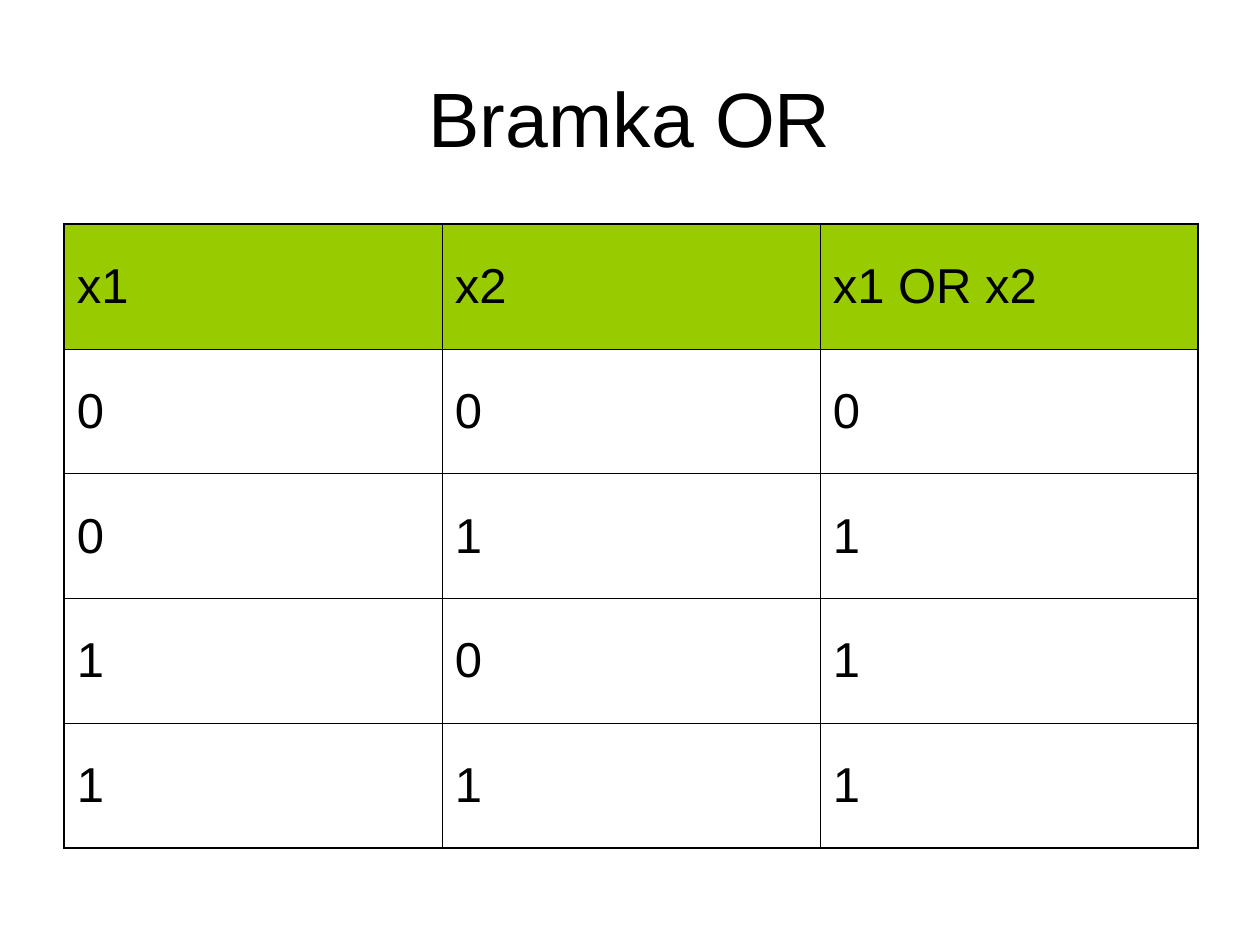
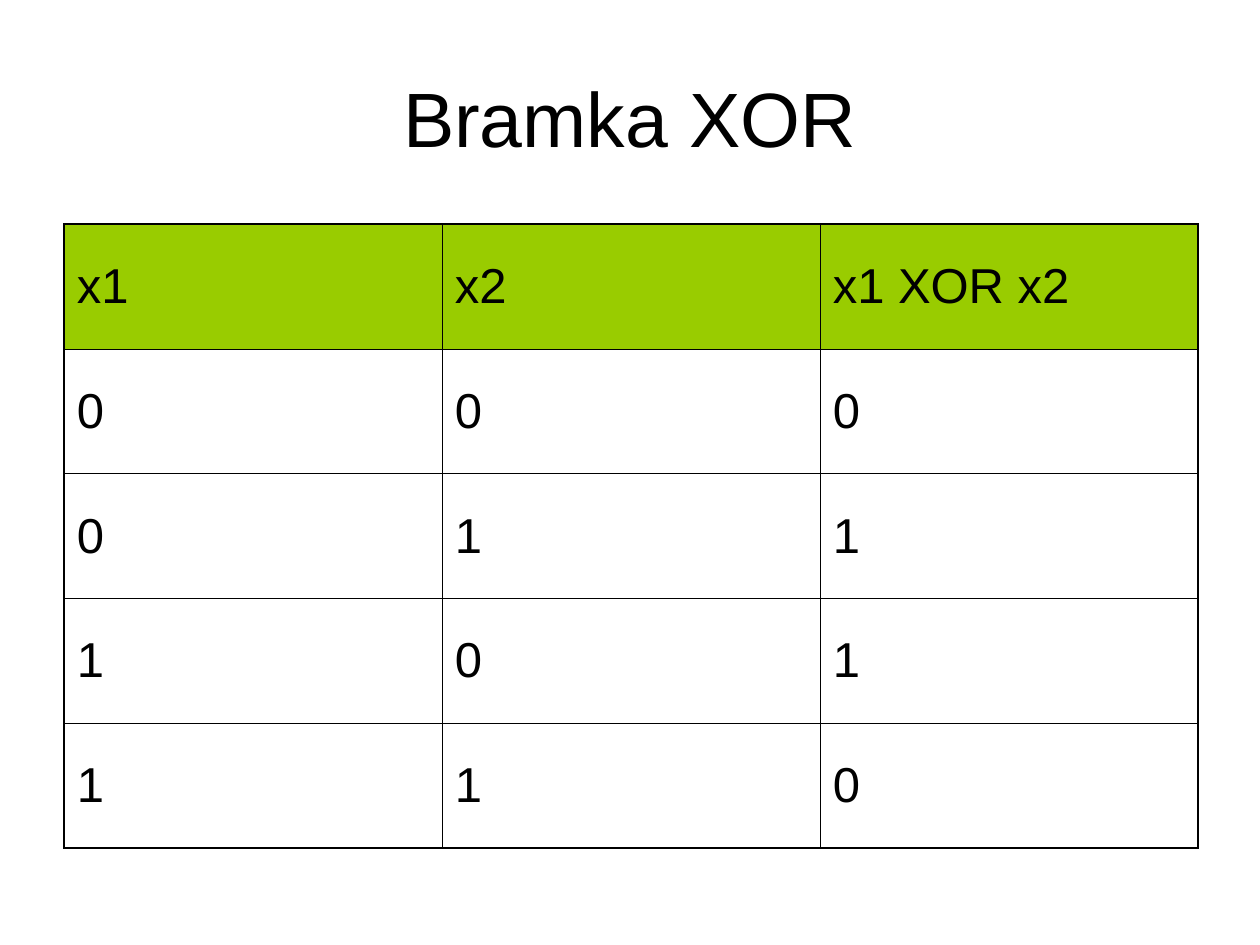
"""Build two slides with the truth tables of the OR and XOR gates."""
from itertools import product

from lxml.etree import SubElement
from pptx import Presentation
from pptx.dml.color import RGBColor
from pptx.enum.text import MSO_ANCHOR, PP_ALIGN
from pptx.oxml.ns import qn
from pptx.util import Inches, Pt

GATES = {
    "OR": lambda x1, x2: x1 | x2,
    "XOR": lambda x1, x2: x1 ^ x2,
}
INPUTS = ("x1", "x2")

BLACK = RGBColor(0x00, 0x00, 0x00)
WHITE = RGBColor(0xFF, 0xFF, 0xFF)
LIME = RGBColor(0x99, 0xCC, 0x00)

SLIDE_SIZE = Inches(10), Inches(7.5)
TITLE_BOX = Inches(0.5), Inches(0.3), Inches(9), Inches(1.25)
TABLE_CORNER = Inches(0.51), Inches(1.78)
COLUMN_WIDTH, ROW_HEIGHT = Inches(3), Inches(0.99)
OUTER_RULE, INNER_RULE = Pt(1.08), Pt(0.45)

TITLE_FONT = {"name": "Arial", "size": Pt(44)}
CELL_FONT = {"name": "Arial", "size": Pt(28)}


def write(frame, text, font_format, alignment):
    paragraph = frame.paragraphs[0]
    paragraph.alignment = alignment
    run = paragraph.add_run()
    run.text = text
    for attribute, value in font_format.items():
        setattr(run.font, attribute, value)
    run.font.color.rgb = BLACK


def rule_cell(cell, on_edge):
    properties = cell._tc.get_or_add_tcPr()
    for side, outer in on_edge.items():
        width = OUTER_RULE if outer else INNER_RULE
        line = SubElement(properties, qn(f"a:ln{side}"), w=str(int(width)))
        fill = SubElement(line, qn("a:solidFill"))
        SubElement(fill, qn("a:srgbClr"), val=str(BLACK))


def add_title(slide, text):
    frame = slide.shapes.add_textbox(*TITLE_BOX).text_frame
    frame.word_wrap = True
    frame.vertical_anchor = MSO_ANCHOR.MIDDLE
    write(frame, text, TITLE_FONT, PP_ALIGN.CENTER)


def add_truth_table(slide, rows):
    row_count, column_count = len(rows), len(rows[0])
    table = slide.shapes.add_table(
        row_count, column_count, *TABLE_CORNER,
        COLUMN_WIDTH * column_count, ROW_HEIGHT * row_count).table
    table.first_row = table.horz_banding = False
    for r, c in product(range(row_count), range(column_count)):
        cell = table.cell(r, c)
        cell.vertical_anchor = MSO_ANCHOR.MIDDLE
        write(cell.text_frame, str(rows[r][c]), CELL_FONT, PP_ALIGN.LEFT)
        rule_cell(cell, {"L": c == 0, "R": c == column_count - 1,
                         "T": r == 0, "B": r == row_count - 1})
        cell.fill.solid()
        cell.fill.fore_color.rgb = LIME if r == 0 else WHITE


def main():
    deck = Presentation()
    deck.slide_width, deck.slide_height = SLIDE_SIZE
    for gate, output in GATES.items():
        slide = deck.slides.add_slide(deck.slide_layouts[6])
        add_title(slide, f"Bramka {gate}")
        header = (*INPUTS, f" {gate} ".join(INPUTS))
        states = [(x1, x2, output(x1, x2)) for x1, x2 in product((0, 1), repeat=2)]
        add_truth_table(slide, [header, *states])
    deck.save("out.pptx")


if __name__ == "__main__":
    main()
